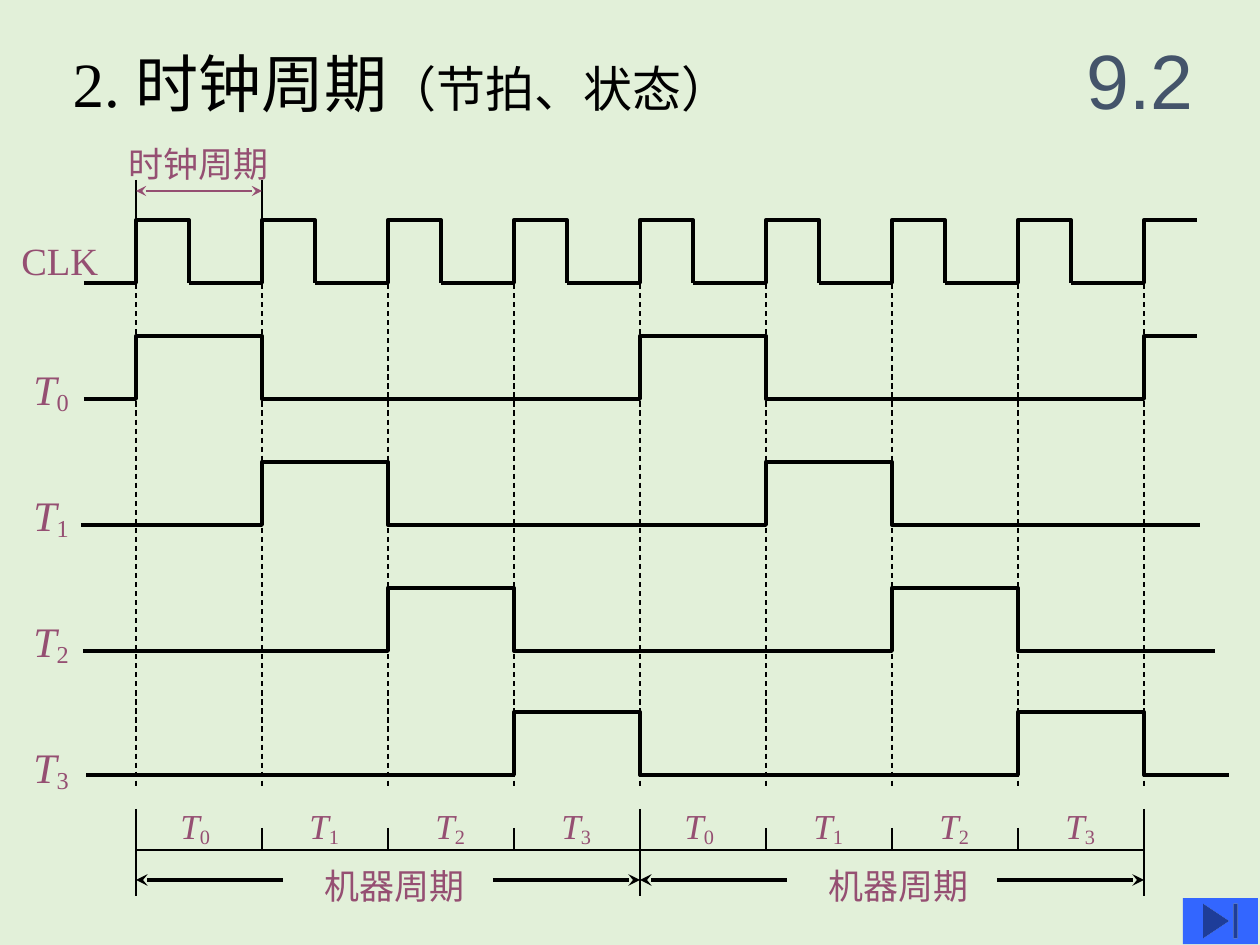
from lxml import etree
from pptx import Presentation
from pptx.dml.color import RGBColor
from pptx.enum.dml import MSO_LINE
from pptx.enum.shapes import MSO_CONNECTOR, MSO_SHAPE
from pptx.enum.text import MSO_ANCHOR, MSO_AUTO_SIZE, PP_ALIGN
from pptx.oxml.ns import qn
from pptx.util import Emu, Pt

STRAIGHT = MSO_CONNECTOR.STRAIGHT
BUTTON_END = MSO_SHAPE.ACTION_BUTTON_END
DASH = MSO_LINE.DASH
LEFT, CENTER = PP_ALIGN.LEFT, PP_ALIGN.CENTER
MIDDLE = MSO_ANCHOR.MIDDLE
NO_FIT = MSO_AUTO_SIZE.NONE

BACKGROUND = RGBColor(0xE2, 0xF0, 0xD9)
BLACK = RGBColor(0, 0, 0)
PLUM = RGBColor(0x95, 0x4F, 0x72)
SLATE = RGBColor(0x44, 0x54, 0x6A)
BLUE = RGBColor(0x33, 0x66, 0xFF)
SERIF, SANS = "Times New Roman", "Arial"

# Content: (text, size in points); lengths in px, 126 to the inch
TITLE = [("2. 时钟周期", 36), ("（节拍、状态）", 28)]
SECTION = "9.2"
CLOCK, CLOCK_PERIOD, MACHINE_CYCLE = "CLK", "时钟周期", "机器周期"
# Beat signals: (subscript, line start, top, line end)
BEATS = [("0", 84, 336, 1197), ("1", 81, 462, 1200),
         ("2", 83, 588, 1215), ("3", 86, 712, 1229)]

# Time grid: two machine cycles of four clock periods
ORIGIN, PERIOD, PULSE, SWING = 136, 126, 53, 63
CYCLE = PERIOD * len(BEATS)
EDGES = [ORIGIN + PERIOD * i for i in range(2 * len(BEATS) + 1)]
CLOCK_TOP = 220
SCALE_Y, ARROW_Y, ARROW_LENGTH = 850, 880, 147

deck = Presentation()
deck.slide_width, deck.slide_height = Emu(9144000), Emu(6858000)
page = deck.slides.add_slide(deck.slide_layouts[5])
page.background.fill.solid()
page.background.fill.fore_color.rgb = BACKGROUND
shapes = page.shapes


def px(length):
    return Emu(round(length * 914400 / 126))


def place(box, left, top, width, height):
    box.left, box.top = px(left), px(top)
    box.width, box.height = px(width), px(height)


def style(para, size, color=PLUM, name=SERIF):
    para.font.size, para.font.name = Pt(size), name
    para.font.color.rgb = color


def add_text(text, left, top, width, height, size, color=PLUM, name=SERIF):
    box = shapes.add_textbox(px(left), px(top), px(width), px(height))
    para = box.text_frame.paragraphs[0]
    para.text = text
    style(para, size, color, name)
    return box


def add_beat_label(number, left, top, width, height, size):
    para = add_text("T", left, top, width, height, size).text_frame.paragraphs[0]
    para.runs[0].font.italic = True
    subscript = para.add_run()
    subscript.text = number
    subscript._r.get_or_add_rPr().set("baseline", "-15000")


def add_line(x1, y1, x2, y2, weight, color=BLACK, dash=None, arrows=()):
    line = shapes.add_connector(STRAIGHT, px(x1), px(y1), px(x2), px(y2))
    line.line.width = Pt(weight)
    line.line.color.rgb = color
    if dash:
        line.line.dash_style = dash
    for end in arrows:
        etree.SubElement(line.line._get_or_add_ln(), qn(f"a:{end}"), type="stealth")
    etree.SubElement(line._element.spPr, qn("a:effectLst"))


def add_wave(points):
    corners = [(px(x), px(y)) for x, y in points]
    builder = shapes.build_freeform(*corners[0], scale=1.0)
    builder.add_line_segments(corners[1:], close=False)
    wave = builder.convert_to_shape()
    wave.fill.background()
    wave.line.color.rgb = BLACK
    wave.line.width = Pt(2.25)
    wave.shadow.inherit = False


# Heading and section number
title = shapes.title
place(title, 60, 38, 720, 88)
title.text_frame.auto_size = NO_FIT
title.text_frame.word_wrap = True
para = title.text_frame.paragraphs[0]
para.alignment = LEFT
style(para, TITLE[0][1], BLACK)
for text, size in TITLE:
    span = para.add_run()
    span.text = text
    span.font.size = Pt(size)

section = add_text(SECTION, 1061, 21, 158, 116, 44, SLATE, SANS)
section.text_frame.word_wrap = True
section.text_frame.vertical_anchor = MIDDLE
section.text_frame.paragraphs[0].alignment = CENTER

# Beat signals: each is high for one period in every machine cycle
for i, (number, start, top, end) in enumerate(BEATS):
    base = top + SWING
    points = [(start, base)]
    for rise in EDGES[i::len(BEATS)]:
        points += [(rise, base), (rise, top)]
        fall = rise + PERIOD
        if fall > end:
            points.append((end, top))
        else:
            points += [(fall, top), (fall, base)]
    if points[-1][1] == base:
        points.append((end, base))
    add_wave(points)
    add_beat_label(number, 21, 357 + PERIOD * i, 66, 63, 24)

# Clock pulses, the last one still high
add_text(CLOCK, 9, 231, 108, 59, 22)
for x in EDGES:
    base = CLOCK_TOP + SWING
    pulse = [(x - PERIOD + PULSE if x > ORIGIN else 84, base), (x, base),
             (x, CLOCK_TOP), (x + PULSE, CLOCK_TOP)]
    if x < EDGES[-1]:
        pulse.append((x + PULSE, base))
    add_wave(pulse)

# Period guides
for x in EDGES:
    add_line(x, 248, x, 788, 0.75, dash=DASH)

# Clock period dimension
for x in EDGES[:2]:
    add_line(x, 180, x, 223, 1.5)
add_line(EDGES[0], 191, EDGES[1], 191, 1.5, PLUM, arrows=("headEnd", "tailEnd"))
add_text(CLOCK_PERIOD, 116, 136, 166, 54, 20)

# Time scale with long ticks at the machine cycles
add_line(EDGES[0], SCALE_Y, EDGES[-1], SCALE_Y, 0.75)
for i, x in enumerate(EDGES):
    top, bottom = (828, SCALE_Y) if i % len(BEATS) else (809, 896)
    add_line(x, top, x, bottom, 0.75)
for i, x in enumerate(EDGES[:-1]):
    number = BEATS[i % len(BEATS)][0]
    add_beat_label(number, x + (35 if number in "123" else 32), 798, 58, 54, 20)

# Machine cycle dimensions
for start in EDGES[:-1:len(BEATS)]:
    end = start + CYCLE
    for tip, tail in ((end, end - ARROW_LENGTH), (start, start + ARROW_LENGTH)):
        add_line(tail, ARROW_Y, tip, ARROW_Y, 2.25, arrows=("tailEnd",))
    add_text(MACHINE_CYCLE, start + 176, 858, 166, 54, 20)

# Button to the end of the show
button = shapes.add_shape(BUTTON_END, px(1183), px(898), px(75), px(46))
button.fill.solid()
button.fill.fore_color.rgb = BLUE
button.line.fill.background()
button.shadow.inherit = False

deck.save("out.pptx")
